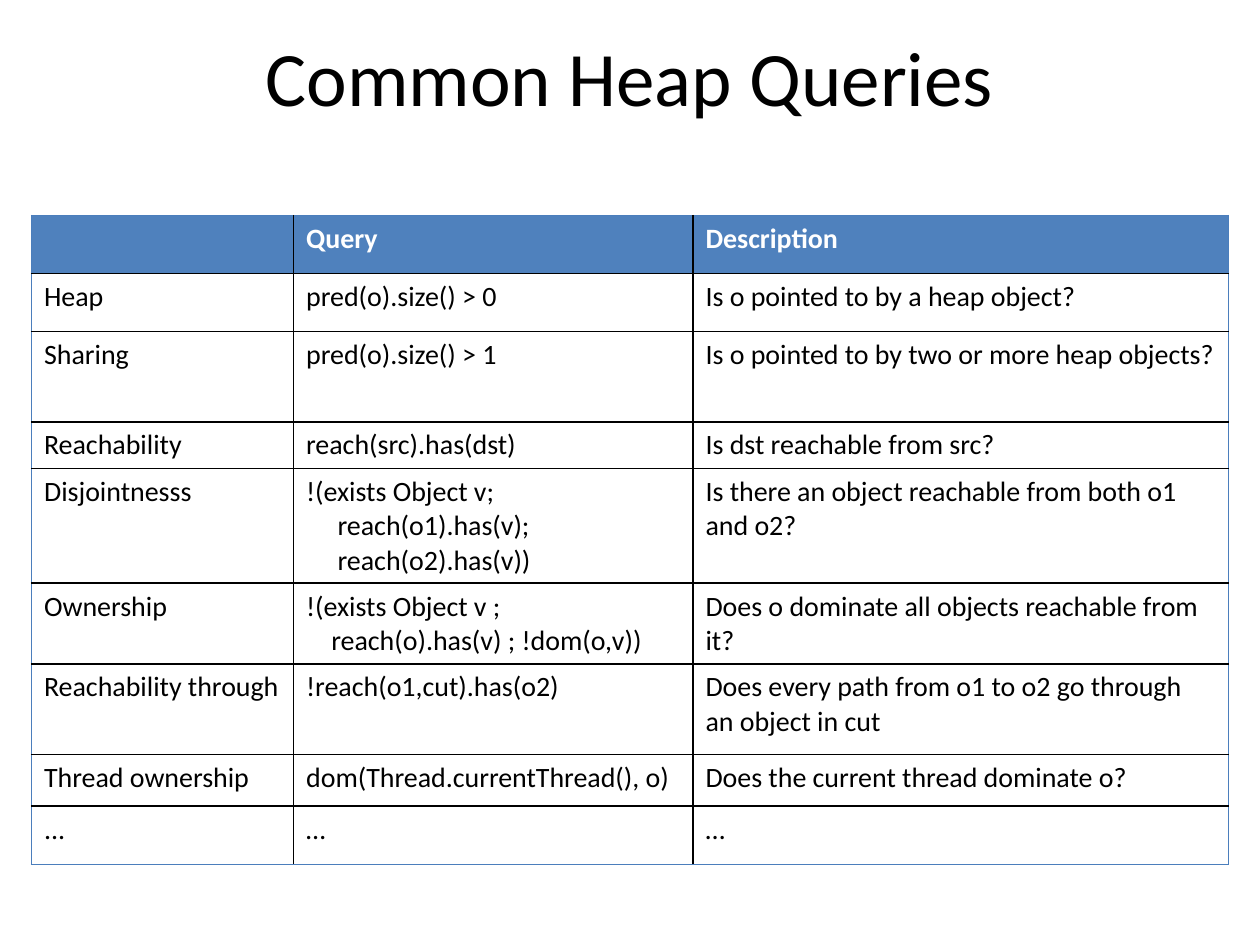
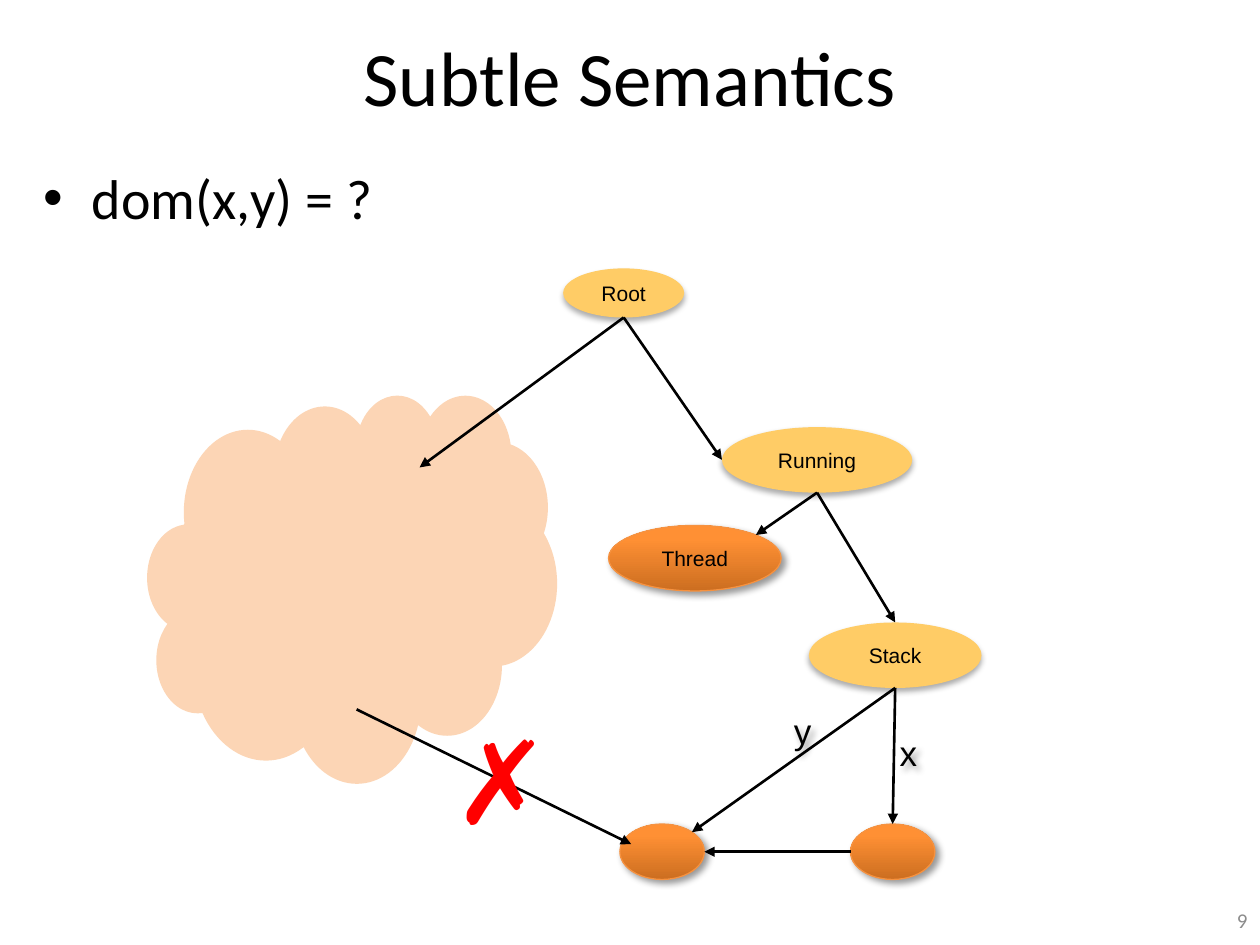
from dataclasses import dataclass
from copy import deepcopy
import math

from lxml import etree
from pptx import Presentation
from pptx import util as u
from pptx.dml.color import RGBColor
from pptx.enum import shapes, text
from pptx.oxml import parse_xml
from pptx.oxml.ns import nsdecls, qn


@dataclass(frozen=True)
class Theme:
    font: str = "Calibri"
    diagram_font: str = "Arial"
    ink: str = "000000"
    paper: str = "FFFFFF"
    muted: str = "8C8C8C"
    header: str = "4F81BD"
    frame: str = "4B7EBC"
    frame_node: str = "FFCC66"
    object_line: str = "F69240"
    object_stops: tuple = ((0, "CC6E20"), (0.8, "FF9034"), (1, "FF9136"))
    heap: str = "FCD5B5"
    cross: str = "FF0000"
    title_pt: int = 44
    body_pt: int = 32
    table_pt: int = 16
    node_pt: int = 12
    label_pt: int = 20
    cross_pt: int = 66
    line_pt: float = 1.5


T = Theme()
# Shadows: opacity %, blur pt, distance pt, direction in degrees
SOFT, STRONG = (32, 3.5, 2.2, 90), (40, 4, 3, 45)


@dataclass(frozen=True)
class Box:
    """An area in inches, divided into a grid of cols by rows."""
    x: float
    y: float
    w: float
    h: float
    cols: float
    rows: float

    def point(self, col, row):
        return self.x + col * self.w / self.cols, self.y + row * self.h / self.rows

    def area(self, col, row, cols, rows, grid=(1, 1)):
        return Box(*self.point(col, row), cols * self.w / self.cols,
                   rows * self.h / self.rows, *grid)

    def site(self, degrees):
        """Point on the inscribed ellipse, counted from the right, anticlockwise."""
        a = math.radians(degrees)
        return (self.x + self.w / 2 * (1 + math.cos(a)),
                self.y + self.h / 2 * (1 - math.sin(a)))

    @property
    def emu(self):
        return [u.Inches(v) for v in (self.x, self.y, self.w, self.h)]


PAGE = Box(0, 0, 10, 7.5, 40, 30)


# ---- shared helpers
def rgb(color):
    return RGBColor.from_string(color)


def set_attrs(obj, **values):
    for name, value in values.items():
        setattr(obj, name, value)


def write(tf, content, size, color=T.ink, font=T.font, bold=False,
          align=text.PP_ALIGN.LEFT, anchor=text.MSO_ANCHOR.TOP):
    set_attrs(tf, word_wrap=True, vertical_anchor=anchor)
    p = tf.paragraphs[0]
    set_attrs(p, text=content, alignment=align)
    style(p, size, color, font, bold)
    return p


def style(p, size, color=T.ink, font=T.font, bold=False):
    for r in p.runs:
        set_attrs(r.font, size=u.Pt(size), name=font, bold=bold)
        r.font.color.rgb = rgb(color)


def add_text(s, box, content, size, **fmt):
    return write(s.shapes.add_textbox(*box.emu).text_frame, content, size, **fmt)


def add_title(s, content):
    add_text(s, PAGE.area(1, 0.5, 38, 3.8), content, T.title_pt,
             align=text.PP_ALIGN.CENTER, anchor=text.MSO_ANCHOR.MIDDLE)


def indent(p, left, first=0):
    pPr = p._p.get_or_add_pPr()
    pPr.set("marL", str(u.Inches(left)))
    pPr.set("indent", str(u.Inches(first)))
    return pPr


# ---- table of queries
HEADER = ("", "Query", "Description")
QUERIES = [
    ("Heap", "pred(o).size() > 0", "Is o pointed to by a heap object?"),
    ("Sharing", "pred(o).size() > 1", "Is o pointed to by two or more heap objects?"),
    ("Reachability", "reach(src).has(dst)", "Is dst reachable from src?"),
    ("Disjointnesss", ("!(exists Object v;", "reach(o1).has(v);\vreach(o2).has(v))"),
     "Is there an object reachable from both o1 and o2?"),
    ("Ownership", ("!(exists Object v ;", "reach(o).has(v) ; !dom(o,v))"),
     "Does o dominate all objects reachable from it?"),
    ("Reachability through", "!reach(o1,cut).has(o2)",
     "Does every path from o1 to o2 go through an object in cut"),
    ("Thread ownership", "dom(Thread.currentThread(), o)",
     "Does the current thread dominate o?"),
    ("...", "…", "…"),
]
COL_WIDTHS = (2.08, 3.17, 4.25)
ROW_HEIGHTS = (0.46, 0.46, 0.72, 0.37, 0.91, 0.64, 0.72, 0.41, 0.46)


def set_borders(cell, outer):
    """Frame colour on the sides named in outer, ink on the others."""
    tcPr = cell._tc.get_or_add_tcPr()
    for i, side in enumerate("LRTB"):
        color, pt = (T.frame, 0.75) if side in outer else (T.ink, 1)
        tcPr.insert(i, parse_xml(
            f'<a:ln{side} {nsdecls("a")} w="{u.Pt(pt)}"><a:solidFill>'
            f'<a:srgbClr val="{color}"/></a:solidFill></a:ln{side}>'))


def fill_cell(cell, content, is_header):
    first, *rest = (content,) if isinstance(content, str) else content
    write(cell.text_frame, first, T.table_pt, bold=is_header,
          color=T.paper if is_header else T.ink)
    for line in rest:
        p = cell.text_frame.add_paragraph()
        p.text = line
        style(p, T.table_pt)
        indent(p, 0.25 if "\v" in line else 0.2)
    if is_header:
        cell.fill.solid()
        cell.fill.fore_color.rgb = rgb(T.header)
    else:
        cell.fill.background()


def query_table(s, box):
    rows = [HEADER, *QUERIES]
    last_row, last_col = len(rows) - 1, len(HEADER) - 1
    table = s.shapes.add_table(len(rows), len(HEADER), *box.emu).table
    table.horz_banding = False
    for col, width in zip(table.columns, COL_WIDTHS):
        col.width = u.Inches(box.w * width / sum(COL_WIDTHS))
    for row, height in zip(table.rows, ROW_HEIGHTS):
        row.height = u.Inches(box.h * height / sum(ROW_HEIGHTS))
    for i, row in enumerate(rows):
        for j, content in enumerate(row):
            cell = table.cell(i, j)
            fill_cell(cell, content, i == 0)
            edges = {"L": j == 0, "R": j == last_col, "T": i == 0, "B": i == last_row}
            set_borders(cell, [side for side, on in edges.items() if on])


# ---- heap diagram
# name: (col, row, cols, rows), text, is a heap object
NODES = {
    "root": ((3.47, 0.13, 0.96, 0.39), "Root", False),
    "running": ((4.73, 1.39, 1.51, 0.52), "Running", False),
    "thread": ((3.83, 2.17, 1.37, 0.52), "Thread", True),
    "stack": ((5.42, 2.94, 1.37, 0.52), "Stack", False),
    "x": ((5.75, 4.54, 0.67, 0.44), "", True),
    "y": ((3.92, 4.54, 0.67, 0.44), "", True),
}
# Ends are (node, angle) or a (col, row) point
EDGES = [
    (("root", 270), ("running", 180)),
    (("root", 270), (2.33, 1.71)),
    (("running", 270), ("stack", 90)),
    (("running", 270), ("thread", 45)),
    (("stack", 270), ("x", 90)),
    (("stack", 270), ("y", 45)),
    (("x", 180), ("y", 0)),
    ((1.83, 3.63), (4.01, 4.7)),
]
EDGE_LABELS = {"y": (5.08, 3.54, 0.58, 0.52), "x": (5.92, 3.71, 0.58, 0.52)}


def add_shadow(sp, opacity, blur, dist, angle):
    sp.shadow.inherit = False
    effects = sp._element.spPr.find(qn("a:effectLst"))
    effects.append(parse_xml(
        f'<a:outerShdw {nsdecls("a")} blurRad="{u.Pt(blur)}" dist="{u.Pt(dist)}" '
        f'dir="{angle * 60000}" rotWithShape="0"><a:srgbClr val="{T.ink}">'
        f'<a:alpha val="{opacity * 1000}"/></a:srgbClr></a:outerShdw>'))


def fill_object(sp):
    sp.fill.gradient()
    sp.fill.gradient_angle = 90
    stops = sp._element.spPr.find(".//" + qn("a:gsLst"))
    stops.append(deepcopy(stops[-1]))
    for stop, (position, color) in zip(sp.fill.gradient_stops, T.object_stops):
        stop.position = position
        stop.color.rgb = rgb(color)
    sp.line.color.rgb = rgb(T.object_line)
    sp.line.width = u.Pt(0.75)


def add_ellipse(s, box, content, size, shadow):
    sp = s.shapes.add_shape(shapes.MSO_SHAPE.OVAL, *box.emu)
    sp.fill.background()
    sp.line.fill.background()
    add_shadow(sp, *shadow)
    if content:
        write(sp.text_frame, content, size, font=T.diagram_font,
              align=text.PP_ALIGN.CENTER, anchor=text.MSO_ANCHOR.MIDDLE)
    return sp


def add_node(s, box, content, is_object):
    sp = add_ellipse(s, box, content, T.node_pt, STRONG if is_object else SOFT)
    if is_object:
        fill_object(sp)
    else:
        sp.fill.solid()
        sp.fill.fore_color.rgb = rgb(T.frame_node)


def add_arrow(s, start, end):
    cxn = s.shapes.add_connector(shapes.MSO_CONNECTOR.STRAIGHT,
                                 *[u.Inches(v) for v in (*start, *end)])
    cxn.line.color.rgb = rgb(T.ink)
    cxn.line.width = u.Pt(T.line_pt)
    etree.SubElement(cxn.line._get_or_add_ln(), qn("a:tailEnd"), type="triangle")
    etree.SubElement(cxn._element.spPr, qn("a:effectLst"))


def heap_diagram(s, box):
    # Rest of the heap
    cloud = s.shapes.add_shape(shapes.MSO_SHAPE.CLOUD_CALLOUT,
                               *box.area(0.17, 1.13, 3.25, 3.08).emu)
    cloud.adjustments[0], cloud.adjustments[1] = 0, 0.08
    cloud.shadow.inherit = False
    cloud.fill.solid()
    cloud.fill.fore_color.rgb = rgb(T.heap)
    cloud.line.fill.background()
    # Nodes
    places = {name: box.area(*place) for name, (place, _, _) in NODES.items()}
    for name, (_, content, is_object) in NODES.items():
        add_node(s, places[name], content, is_object)
    # References
    for edge in EDGES:
        add_arrow(s, *[places[a].site(b) if a in places else box.point(a, b)
                       for a, b in edge])
    for label, place in EDGE_LABELS.items():
        add_ellipse(s, box.area(*place), label, T.label_pt, STRONG)
    # Forbidden reference
    add_text(s, box.area(2.5, 3.58, 0.33, 1.21), "✗", T.cross_pt, color=T.cross)


# ---- slides
def queries_slide(s):
    add_title(s, "Common Heap Queries")
    query_table(s, PAGE.area(1, 6.84, 38, 20.6))


def semantics_slide(s):
    add_title(s, "Subtle Semantics")
    p = add_text(s, PAGE.area(1, 5, 38, 24), "dom(x,y) = ?", T.body_pt)
    pPr = indent(p, 0.38, -0.38)
    etree.SubElement(pPr, qn("a:buFont"), typeface="Arial")
    etree.SubElement(pPr, qn("a:buChar"), char="•")
    heap_diagram(s, PAGE.area(4, 8, 32, 21, grid=(8, 5.25)))
    add_text(s, PAGE.area(30.68, 28.4, 9.32, 1.6), "9", T.node_pt, color=T.muted,
             align=text.PP_ALIGN.RIGHT, anchor=text.MSO_ANCHOR.MIDDLE)


def main():
    prs = Presentation()
    set_attrs(prs, slide_width=u.Inches(PAGE.w), slide_height=u.Inches(PAGE.h))
    for build in (queries_slide, semantics_slide):
        build(prs.slides.add_slide(prs.slide_layouts[6]))
    prs.save("out.pptx")


if __name__ == "__main__":
    main()
